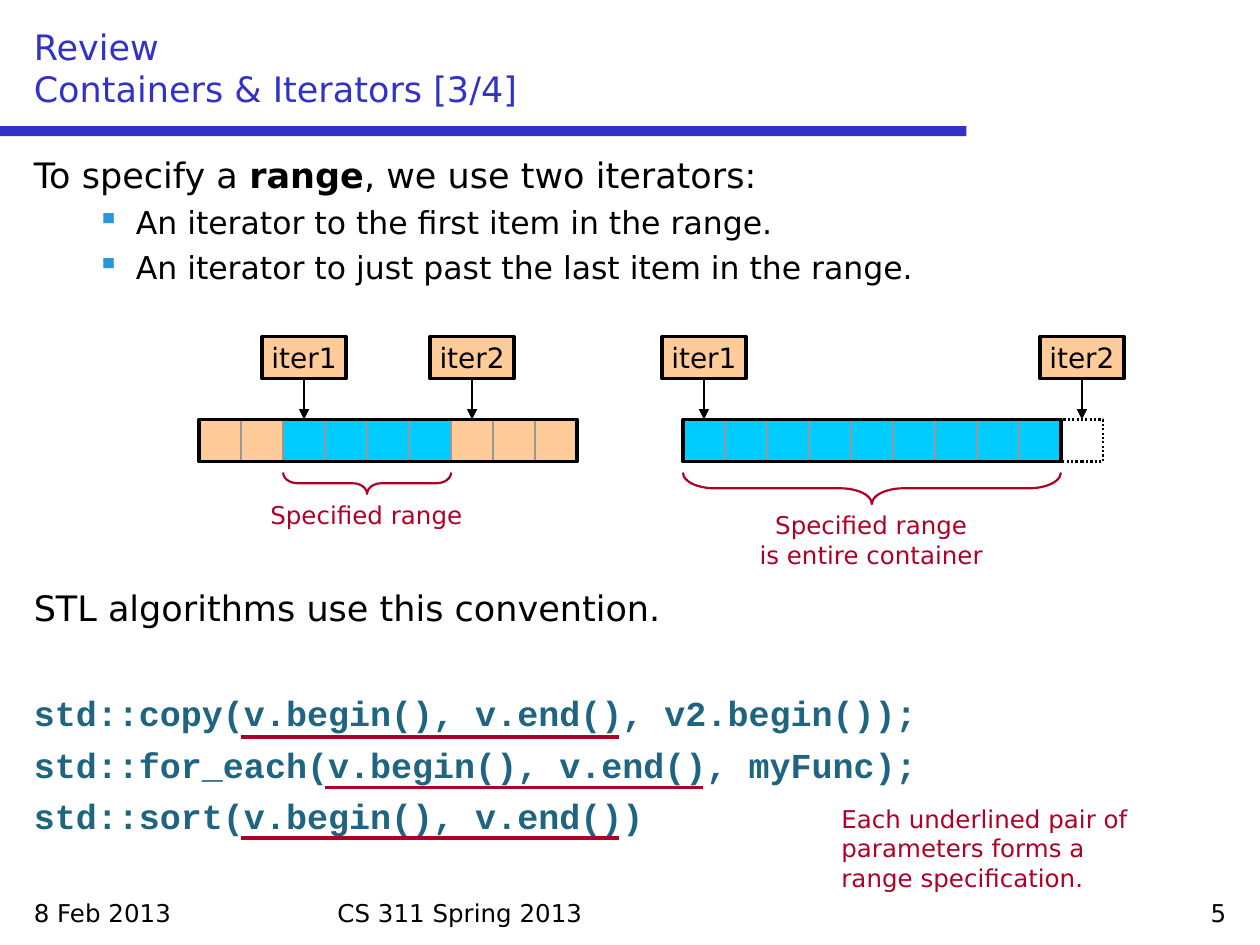
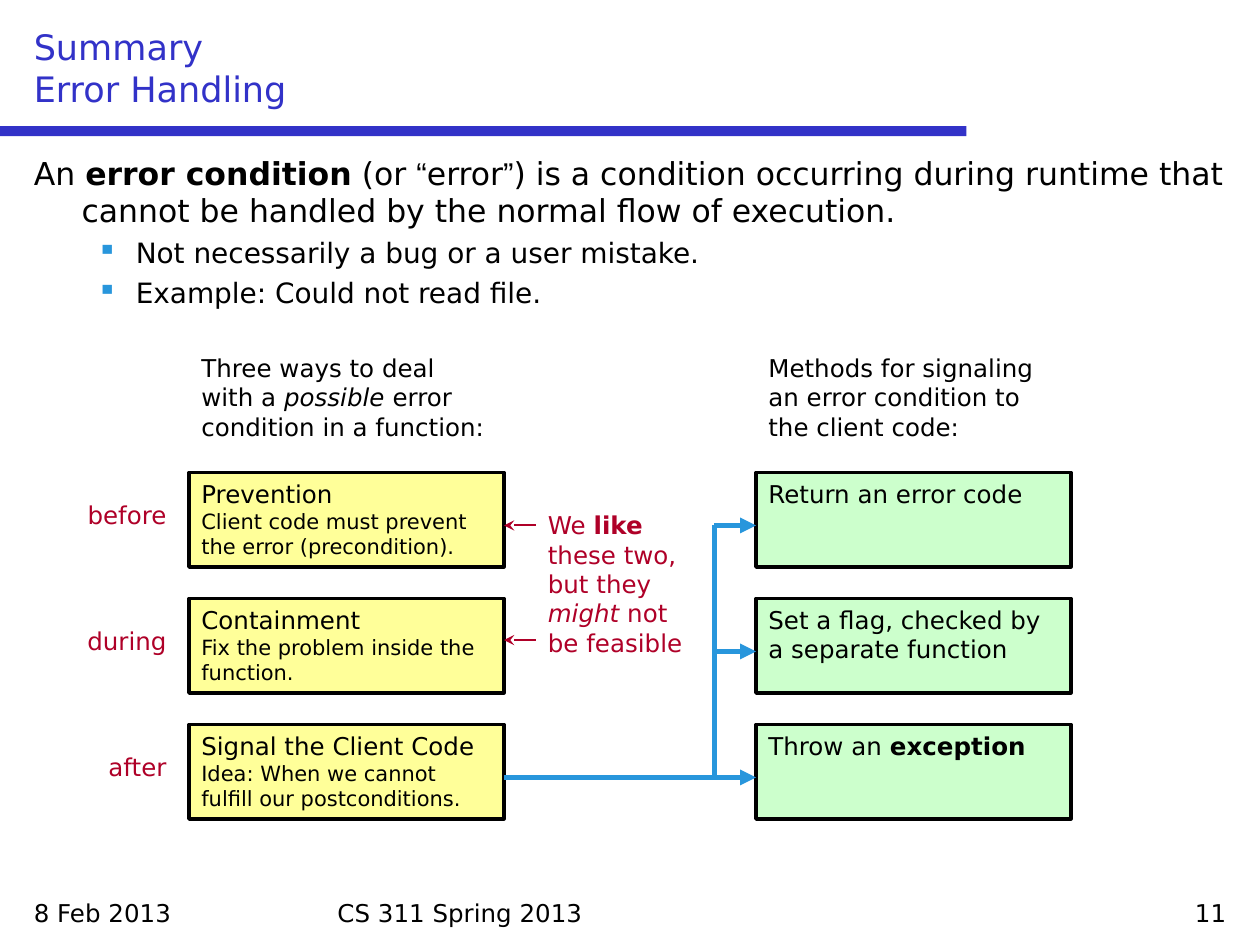
from pptx import Presentation
from pptx.util import Inches, Pt
from pptx.dml.color import RGBColor
from pptx.enum import dml, shapes, text
from pptx.oxml.ns import qn
from lxml import etree

BLUE = RGBColor(0x32, 0x32, 0xC8)
SKY = RGBColor(0x28, 0x96, 0xDC)
CYAN = RGBColor(0x00, 0xCC, 0xFF)
PEACH = RGBColor(0xFF, 0xCC, 0x99)
YELLOW = RGBColor(0xFF, 0xFF, 0x99)
GREEN = RGBColor(0xCC, 0xFF, 0xCC)
TEAL = RGBColor(0x1F, 0x64, 0x81)
RED = RGBColor(0xAF, 0x00, 0x28)
GRAY = RGBColor(0x98, 0x98, 0x98)
BLACK = RGBColor(0, 0, 0)

SANS, MONO, QUOTE = "DejaVu Sans", "Courier New", "Arial"
KIND = shapes.MSO_SHAPE
LEFT, MID, RIGHT = text.PP_ALIGN.LEFT, text.PP_ALIGN.CENTER, text.PP_ALIGN.RIGHT
CELL = 1 / 3
CHAR = 1 / 6

BOLD, ITAL = {"bold": True}, {"italic": True}
ARIAL = {"name": QUOTE}
CODE = {"name": MONO, "bold": True, "color": TEAL}
SMALL = {"size": 12}

DATE, COURSE = "8 Feb 2013", "CS 311 Spring 2013"

CALLS = [
    "std::copy(v.begin(), v.end(), v2.begin());",
    "std::for_each(v.begin(), v.end(), myFunc);",
    "std::sort(v.begin(), v.end())",
]
PAIR = "v.begin(), v.end()"

RANGE = [
    ("main", 20, 0, ["To specify a ", ("range", BOLD), ", we use two iterators:"]),
    ("item", 18, 4.2, ["An iterator to the first item in the range."]),
    ("item", 18, 4.2, ["An iterator to just past the last item in the range."]),
    ("main", 20, 172, ["STL algorithms use this convention."]),
] + [("main", 20, 5.5 if n else 35.7, [(call, CODE)]) for n, call in enumerate(CALLS)]

ROWS = [
    {"left": 1.58, "count": 9, "iters": (2, 6), "depth": 0.17, "bend": 0.67,
     "label": "Specified range", "top": 3.92},
    {"left": 5.42, "count": 9, "iters": (0, 9), "depth": 0.25, "bend": 1,
     "label": "Specified range\nis entire container", "top": 4},
]
HINT = "Each underlined pair of parameters forms a range specification."

ERROR = [
    ("main", 18, 0, ["An ", ("error condition", BOLD), " (or ", ("“", ARIAL), "error",
                     ("”", ARIAL), ") is a condition occurring during runtime that "
                     "cannot be handled by the normal flow of execution."]),
    ("item", 16, 3.7, ["Not necessarily a bug or a user mistake."]),
    ("item", 16, 3.7, ["Example: Could not read file."]),
]
TIMES = ["before", "during", "after"]
WAYS = [
    ("Prevention\n", "Client code must prevent the error (precondition)."),
    ("Containment\n", "Fix the problem inside the function."),
    ("Signal the Client Code\n", "Idea: When we cannot fulfill our postconditions."),
]
MEANS = [
    ["Return an error code"],
    ["Set a flag, checked by a separate function"],
    ["Throw an ", ("exception", BOLD)],
]
HEADS = [
    (1.5, ["Three ways to deal with a ", ("possible", ITAL), " error condition in a function:"]),
    (6, ["Methods for signaling an error condition to the client code:"]),
]
LIKE = ["We ", ("like", BOLD), " these two, but they ", ("might", ITAL), " not be feasible"]


def add_runs(para, runs, size, color):
    for run in runs:
        words, style = run if isinstance(run, tuple) else (run, {})
        for n, part in enumerate(words.split("\n")):
            if n:
                para.add_line_break()
            if part:
                bit = para.add_run()
                bit.text = part
                font = bit.font
                font.name = style.get("name", SANS)
                font.size = Pt(style.get("size", size))
                font.bold = style.get("bold", False)
                font.italic = style.get("italic", False)
                font.color.rgb = style.get("color", color)


def add_text(slide, box, runs, size=14, color=BLACK, align=LEFT, low=False):
    frame = slide.shapes.add_textbox(*map(Inches, box)).text_frame
    frame.word_wrap = True
    frame.vertical_anchor = text.MSO_ANCHOR.BOTTOM if low else text.MSO_ANCHOR.TOP
    para = frame.paragraphs[0]
    para.alignment = align
    add_runs(para, runs, size, color)
    return frame


def add_box(slide, box, fill=None, line=BLACK, width=2, kind=KIND.RECTANGLE):
    shape = slide.shapes.add_shape(kind, *map(Inches, box))
    shape.shadow.inherit = False
    if fill is None:
        shape.fill.background()
    else:
        shape.fill.solid()
        shape.fill.fore_color.rgb = fill
    if line is None:
        shape.line.fill.background()
    else:
        shape.line.color.rgb = line
        shape.line.width = Pt(width)
    return shape


def add_card(slide, box, fill, runs):
    frame = add_box(slide, box, fill).text_frame
    frame.word_wrap = True
    frame.vertical_anchor = text.MSO_ANCHOR.TOP
    frame.paragraphs[0].alignment = LEFT
    add_runs(frame.paragraphs[0], runs, 14, BLACK)


def add_line(slide, start, end, color, width, tip=None):
    line = slide.shapes.add_connector(shapes.MSO_CONNECTOR.STRAIGHT,
                                      *map(Inches, start + end))
    line.line.color.rgb = color
    line.line.width = Pt(width)
    if tip:
        etree.SubElement(line.line._get_or_add_ln(), qn("a:tailEnd"), type=tip)
    etree.SubElement(line._element.spPr, qn("a:effectLst"))


def add_body(slide, paras):
    frame = add_text(slide, (0.17, 1.17, 9.67, 5.83), [])
    for n, (kind, size, gap, runs) in enumerate(paras):
        para = frame.add_paragraph() if n else frame.paragraphs[0]
        para.space_before = Pt(gap)
        props = para._p.get_or_add_pPr()
        left, dent = (0.81, -0.31) if kind == "item" else (0.38, -0.38)
        props.set("marL", str(Inches(left)))
        props.set("indent", str(Inches(dent)))
        if kind == "item":
            tint = etree.SubElement(props, qn("a:buClr"))
            etree.SubElement(tint, qn("a:srgbClr"), val=str(SKY))
            etree.SubElement(props, qn("a:buChar"), char="▪")
        add_runs(para, runs, size, BLACK)


def add_page(deck, title, number, paras):
    slide = deck.slides.add_slide(deck.slide_layouts[6])
    add_box(slide, (0, 1, 7.67, 0.08), BLUE, None)
    add_text(slide, (0.17, 7.08, 2.33, 0.33), [DATE])
    add_text(slide, (2.58, 7.08, 4.83, 0.33), [COURSE])
    add_text(slide, (7.5, 7.08, 2.33, 0.33), [number], align=RIGHT)
    add_text(slide, (0.17, 0.17, 9.67, 0.75), [title], 20, BLUE, low=True)
    add_body(slide, paras)
    return slide


def add_row(slide, row):
    left, count, (first, last) = row["left"], row["count"], row["iters"]
    top = 3.33
    for n in range(count):
        fill = CYAN if first <= n < last else PEACH
        add_box(slide, (left + n * CELL, top, CELL, CELL), fill, GRAY, 1.25)
    if last == count:
        past = add_box(slide, (left + last * CELL, top, CELL, CELL), width=1.25)
        past.line.dash_style = dml.MSO_LINE.ROUND_DOT
    add_box(slide, (left, top, count * CELL, CELL))

    for name, spot in (("iter1", first), ("iter2", last)):
        mid = left + (spot + 0.5) * CELL
        frame = add_box(slide, (mid - CELL, 2.67, 2 * CELL, CELL), PEACH).text_frame
        frame.word_wrap = False
        frame.margin_left = frame.margin_right = 0
        frame.vertical_anchor = text.MSO_ANCHOR.MIDDLE
        frame.paragraphs[0].alignment = MID
        add_runs(frame.paragraphs[0], [name], 16, BLACK)
        add_line(slide, (mid, 3), (mid, top), BLACK, 1.25, "triangle")

    span, depth = (last - first) * CELL, row["depth"]
    mid = left + (first + last) * CELL / 2
    brace = add_box(slide, (mid - depth / 2, 3.75 + depth / 2 - span / 2, depth, span),
                    None, RED, 1.25, KIND.LEFT_BRACE)
    brace.adjustments[0] = row["bend"]
    brace.rotation = 270
    add_text(slide, (mid - 1.17, row["top"], 2.33, 0.34), [row["label"]], 14, RED, MID)


def draw_range(deck):
    slide = add_page(deck, "Review\nContainers & Iterators [3/4]", "5", RANGE)
    for n, call in enumerate(CALLS):
        left, y = 0.25 + call.index(PAIR) * CHAR, 5.85 + 0.4 * n
        add_line(slide, (left, y), (left + len(PAIR) * CHAR, y), RED, 2)
    add_text(slide, (6.58, 6.33, 2.67, 0.81), [HINT], 14, RED)
    for row in ROWS:
        add_row(slide, row)


def draw_error(deck):
    slide = add_page(deck, "Summary\nError Handling", "11", ERROR)
    for left, runs in HEADS:
        add_text(slide, (left, 2.75, 2.5, 0.75), runs)
    bus = 5.67
    add_line(slide, (bus, 6.17), (bus, 4.17), SKY, 3)
    for n, (time, (head, note), means) in enumerate(zip(TIMES, WAYS, MEANS)):
        top = 3.75 + n
        add_text(slide, (0.5, top + 0.17, 0.92, 0.34), [time], 14, RED, RIGHT)
        add_card(slide, (1.5, top, 2.5, 0.75), YELLOW, [head, (note, SMALL)])
        add_card(slide, (6, top, 2.5, 0.75), GREEN, means)
        start = 4 if n == len(WAYS) - 1 else bus
        add_line(slide, (start, top + 0.42), (6, top + 0.42), SKY, 3, "triangle")
    add_text(slide, (4.25, 4, 1.33, 1.29), LIKE, 14, RED)
    for y in (4.17, 5.08):
        add_line(slide, (4.25, y), (4, y), RED, 1.25, "stealth")


def main():
    deck = Presentation()
    deck.slide_width, deck.slide_height = Inches(10), Inches(7.5)
    draw_range(deck)
    draw_error(deck)
    deck.save("out.pptx")


if __name__ == "__main__":
    main()
